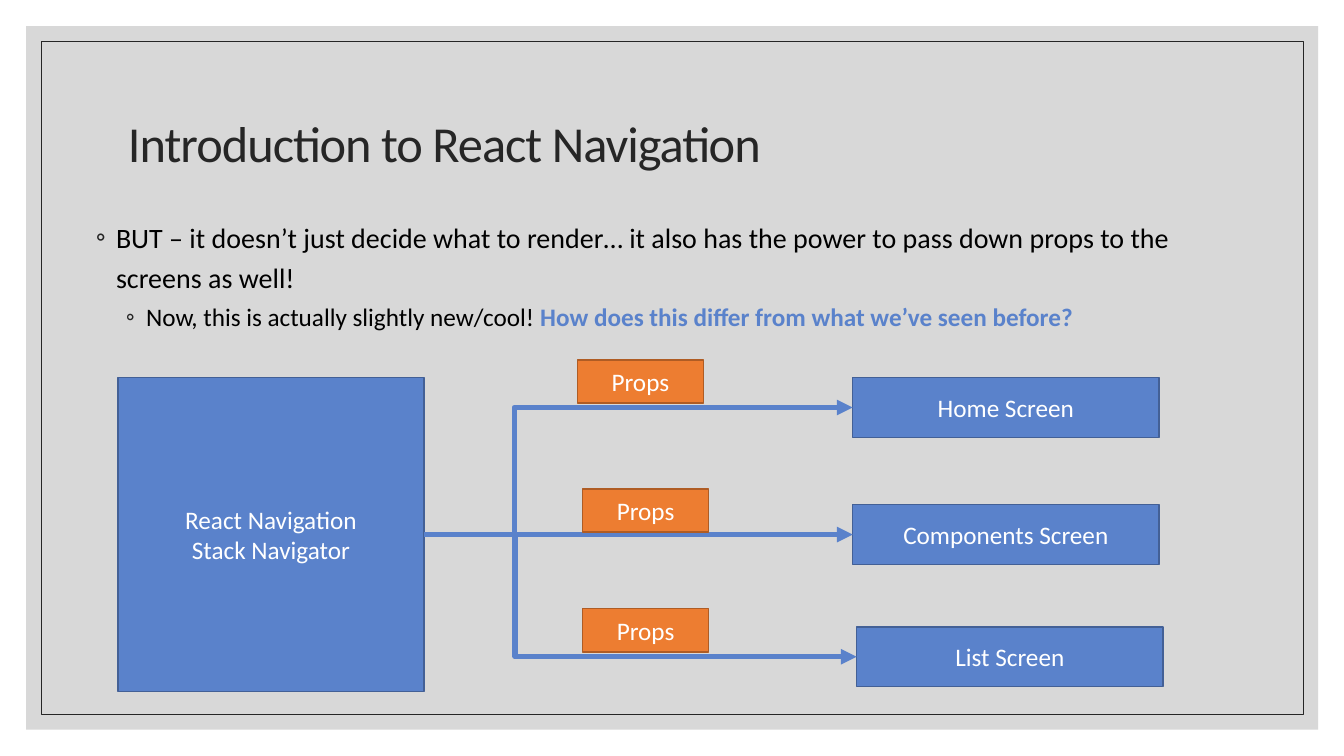
from dataclasses import dataclass

from lxml.etree import SubElement
from pptx import Presentation
from pptx.dml.color import RGBColor
from pptx.enum.shapes import MSO_CONNECTOR as Connector
from pptx.enum.shapes import MSO_SHAPE as Preset
from pptx.enum.text import MSO_ANCHOR as Anchor
from pptx.enum.text import MSO_AUTO_SIZE as AutoSize
from pptx.enum.text import PP_ALIGN as Align
from pptx.oxml.ns import qn
from pptx.util import Cm, Pt

COLORS = {
    "panel": "BFBFBF",
    "ink": "262626",
    "body": "000000",
    "blue": "5A82CB",
    "blue edge": "436096",
    "orange": "ED7D31",
    "orange edge": "AF5C24",
    "white": "FFFFFF",
}
FONT = "Calibri"
LEFT_SIDE, RIGHT_SIDE = 1, 3
SCREEN_SIZE = (7.72, 1.5)
PROPS_SIZE = (3.18, 1.09)


@dataclass
class Box:
    left: float
    top: float
    width: float
    height: float
    fill: str | None = None
    edge: str | None = None
    lines: tuple[str, ...] = ()
    edge_width: float = 1


@dataclass
class Route:
    """A target screen, the props label above its arrow, and the arrow's bend."""
    name: str
    left: float
    top: float
    props_left: float
    props_top: float
    bend: float | None = None


PANEL = Box(0.66, 0.66, 32.56, 17.73, "panel")
BORDER = Box(1.04, 1.04, 31.8, 16.97, None, "ink", edge_width=0.5)
NAVIGATOR = Box(2.97, 9.52, 7.72, 7.9, "blue", "blue edge",
                ("React Navigation", "Stack Navigator"))
ROUTES = [
    Route("Home Screen", 21.49, 9.52, 14.55, 9.07, 0.21),
    Route("List Screen", 21.59, 15.8, 14.68, 15.34, 0.21),
    Route("Components Screen", 21.49, 12.72, 14.68, 12.32),
]


def rgb(name: str) -> RGBColor:
    return RGBColor.from_string(COLORS[name])


def add_text(paragraph, text: str, *, size: float = 18, color: str = "white",
             bold: bool = False, spacing: int | None = None) -> None:
    """Append a run; spacing is in hundredths of a point."""
    run = paragraph.add_run()
    run.text = text
    run.font.name = FONT
    run.font.size = Pt(size)
    run.font.bold = bold
    run.font.color.rgb = rgb(color)
    if spacing is not None:
        run.font._element.set("spc", str(spacing))


def add_box(slide, box: Box):
    shape = slide.shapes.add_shape(
        Preset.RECTANGLE, Cm(box.left), Cm(box.top), Cm(box.width), Cm(box.height))
    shape.shadow.inherit = False
    if box.fill:
        shape.fill.solid()
        shape.fill.fore_color.rgb = rgb(box.fill)
    else:
        shape.fill.background()
    if box.edge:
        shape.line.color.rgb = rgb(box.edge)
        shape.line.width = Pt(box.edge_width)
    else:
        shape.line.fill.background()
    frame = shape.text_frame
    frame.vertical_anchor = Anchor.MIDDLE
    for index, line in enumerate(box.lines):
        paragraph = frame.add_paragraph() if index else frame.paragraphs[0]
        paragraph.alignment = Align.CENTER
        add_text(paragraph, line)
    return shape


def add_arrow(slide, source, target, bend: float | None) -> None:
    """Join two boxes; bend is the share of the width before the elbow."""
    kind = Connector.STRAIGHT if bend is None else Connector.ELBOW
    arrow = slide.shapes.add_connector(
        kind, source.left + source.width, source.top + source.height // 2,
        target.left, target.top + target.height // 2)
    arrow.begin_connect(source, RIGHT_SIDE)
    arrow.end_connect(target, LEFT_SIDE)
    arrow.line.color.rgb = rgb("blue")
    arrow.line.width = Pt(3.75)
    SubElement(arrow.line._get_or_add_ln(), qn("a:tailEnd"), type="triangle")
    properties = arrow._element.spPr
    SubElement(properties, qn("a:effectLst"))
    if bend is not None:
        guides = properties.find(qn("a:prstGeom")).get_or_add_avLst()
        SubElement(guides, qn("a:gd"), name="adj1", fmla=f"val {round(bend * 100000)}")


def add_backdrop(slide) -> None:
    """Put the tinted panel and its border behind everything else."""
    panel, border = add_box(slide, PANEL), add_box(slide, BORDER)
    tint = panel._element.spPr.find(qn("a:solidFill"))[0]
    SubElement(tint, qn("a:alpha"), val="60000")
    tree = slide.shapes._spTree
    for position, shape in enumerate((panel, border), start=2):
        tree.insert(position, shape._element)


def place(shape, left: float, top: float, width: float, height: float):
    shape.left, shape.top = Cm(left), Cm(top)
    shape.width, shape.height = Cm(width), Cm(height)
    shape.text_frame.word_wrap = True
    shape.text_frame.auto_size = AutoSize.NONE
    return shape.text_frame


def format_bullet(paragraph, level: int, margin: float, line_spacing: float) -> None:
    paragraph.level = level
    paragraph.line_spacing = line_spacing
    paragraph.space_before = Pt(5 if level else 0)
    properties = paragraph._p.get_or_add_pPr()
    properties.set("marL", str(Cm(margin)))
    properties.set("indent", str(-Cm(0.51)))
    bullet_color = SubElement(properties, qn("a:buClr"))
    SubElement(bullet_color, qn("a:srgbClr"), val=COLORS["ink"])
    SubElement(properties, qn("a:buFont"), typeface=FONT)
    SubElement(properties, qn("a:buChar"), char="◦")


def fill_placeholders(slide) -> None:
    title = place(slide.shapes.title, 2.97, 1.78, 27.94, 3.81)
    title.vertical_anchor = Anchor.MIDDLE
    heading = title.paragraphs[0]
    heading.alignment = Align.LEFT
    heading.line_spacing = 0.9
    add_text(heading, "Introduction to React Navigation",
             size=36, color="ink", spacing=-70)

    body = place(slide.placeholders[1], 2.16, 5.26, 29.41, 11.63)
    body.vertical_anchor = Anchor.TOP
    point = body.paragraphs[0]
    format_bullet(point, 0, 0.51, 1.2)
    add_text(point, "BUT – it doesn’t just decide what to render… it also has the "
             "power to pass down props to the screens as well!", size=20, color="body")
    detail = body.add_paragraph()
    format_bullet(detail, 1, 1.27, 1.0)
    add_text(detail, "Now, this is actually slightly new/cool! ", color="body")
    add_text(detail, "How does this differ from what we’ve seen before?",
             color="blue", bold=True)


def main() -> None:
    presentation = Presentation()
    presentation.slide_width, presentation.slide_height = Cm(33.87), Cm(19.05)
    slide = presentation.slides.add_slide(presentation.slide_layouts[1])
    add_backdrop(slide)
    fill_placeholders(slide)
    navigator = add_box(slide, NAVIGATOR)
    for route in ROUTES:
        screen = add_box(slide, Box(route.left, route.top, *SCREEN_SIZE,
                                    "blue", "blue edge", (route.name,)))
        add_arrow(slide, navigator, screen, route.bend)
    for route in ROUTES:
        add_box(slide, Box(route.props_left, route.props_top, *PROPS_SIZE,
                           "orange", "orange edge", ("Props",)))
    presentation.save("out.pptx")


if __name__ == "__main__":
    main()
